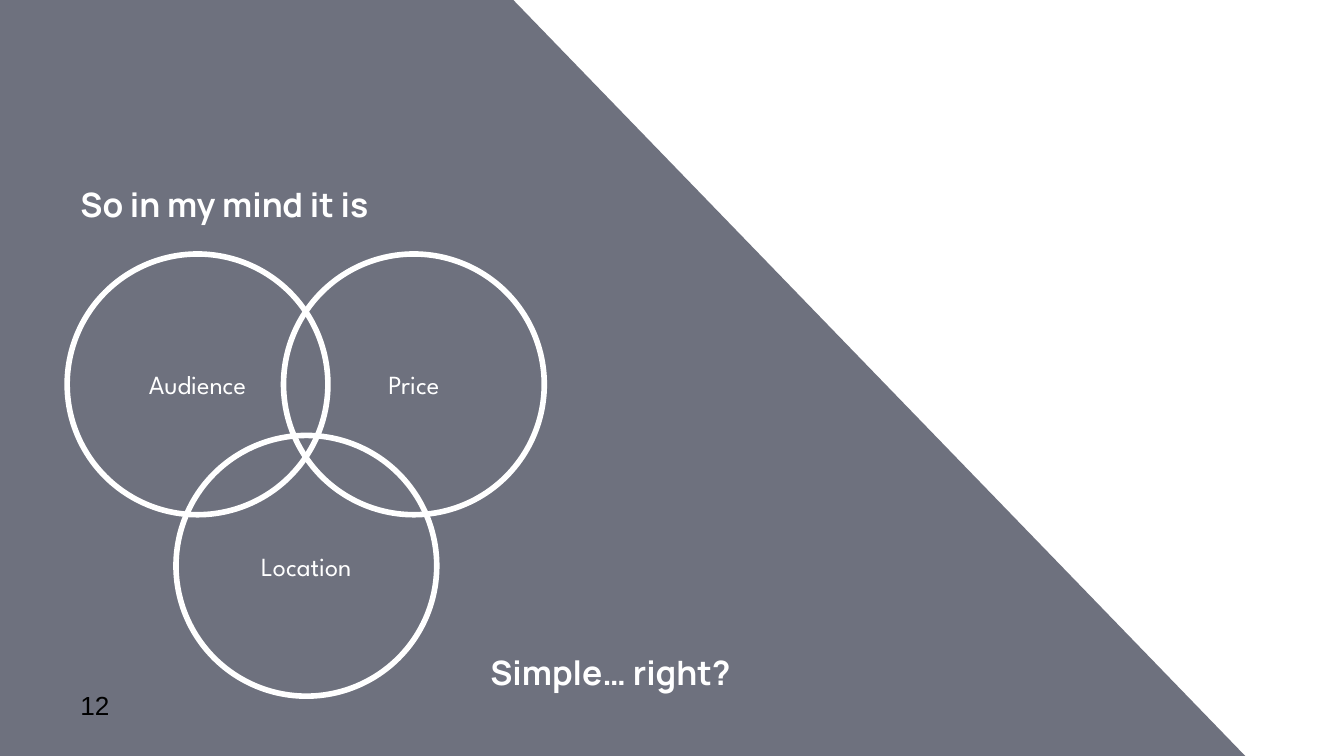
"""Build a slide with a three-circle Venn diagram on a slanted panel."""
from lxml import etree
from pptx import Presentation
from pptx.dml.color import RGBColor
from pptx.enum import shapes, text
from pptx.oxml import ns
from pptx.util import Inches, Pt

WHITE = RGBColor(0xFF, 0xFF, 0xFF)
BLACK = RGBColor(0, 0, 0)
NAVY = RGBColor(0x21, 0x25, 0x39)

PANEL = [(3.81, -0.01), (0, 0), (0, 5.63), (9.27, 5.63)]
PANEL_OPACITY = 65
DIAMETER = 1.94
CIRCLES = [("Location", 1.31, 3.24), ("Audience", 0.5, 1.89), ("Price", 2.11, 1.89)]
HEADINGS = [("So in my mind it is", 0.5, 1.08), ("Simple… right?", 3.55, 4.56)]
PAGE = ("12", 0.5, 5.11)


def write(s, content, font="Manrope", size=18, color=WHITE, bold=False,
          align=text.PP_ALIGN.LEFT, anchor=text.MSO_ANCHOR.MIDDLE):
    tf = s.text_frame
    tf.word_wrap = True
    tf.vertical_anchor = anchor
    tf.margin_left = tf.margin_right = tf.margin_top = tf.margin_bottom = Inches(0.1)
    p = tf.paragraphs[0]
    p.alignment = align
    r = p.add_run()
    r.text = content
    r.font.name, r.font.size, r.font.bold = font, Pt(size), bold
    r.font.color.rgb = color


def add_panel(slide):
    points = [(Inches(x), Inches(y)) for x, y in PANEL]
    builder = slide.shapes.build_freeform(*points[0])
    builder.add_line_segments(points[1:], close=True)
    s = builder.convert_to_shape()
    s.shadow.inherit = False
    s.line.fill.background()
    s.fill.solid()
    s.fill.fore_color.rgb = NAVY
    color = s._element.spPr.find(".//" + ns.qn("a:srgbClr"))
    etree.SubElement(color, ns.qn("a:alpha"), val=str(PANEL_OPACITY * 1000))


def add_circle(slide, label, x, y):
    s = slide.shapes.add_shape(shapes.MSO_SHAPE.OVAL, Inches(x), Inches(y),
                               Inches(DIAMETER), Inches(DIAMETER))
    s.shadow.inherit = False
    s.fill.background()
    s.line.color.rgb = WHITE
    s.line.width = Pt(3)
    write(s, label, font="League Spartan", size=14, align=text.PP_ALIGN.CENTER)


def add_text(slide, content, x, y, w, h, **style):
    s = slide.shapes.add_textbox(Inches(x), Inches(y), Inches(w), Inches(h))
    write(s, content, **style)


def main():
    prs = Presentation()
    prs.slide_width = Inches(10)
    prs.slide_height = prs.slide_width * 9 // 16
    slide = prs.slides.add_slide(prs.slide_layouts[6])
    add_panel(slide)
    for circle in CIRCLES:
        add_circle(slide, *circle)
    for heading in HEADINGS:
        add_text(slide, *heading, 2.61, 0.69, bold=True, anchor=text.MSO_ANCHOR.BOTTOM)
    add_text(slide, *PAGE, 0.6, 0.27, font="Arial", size=14, color=BLACK)
    prs.save("out.pptx")


if __name__ == "__main__":
    main()
